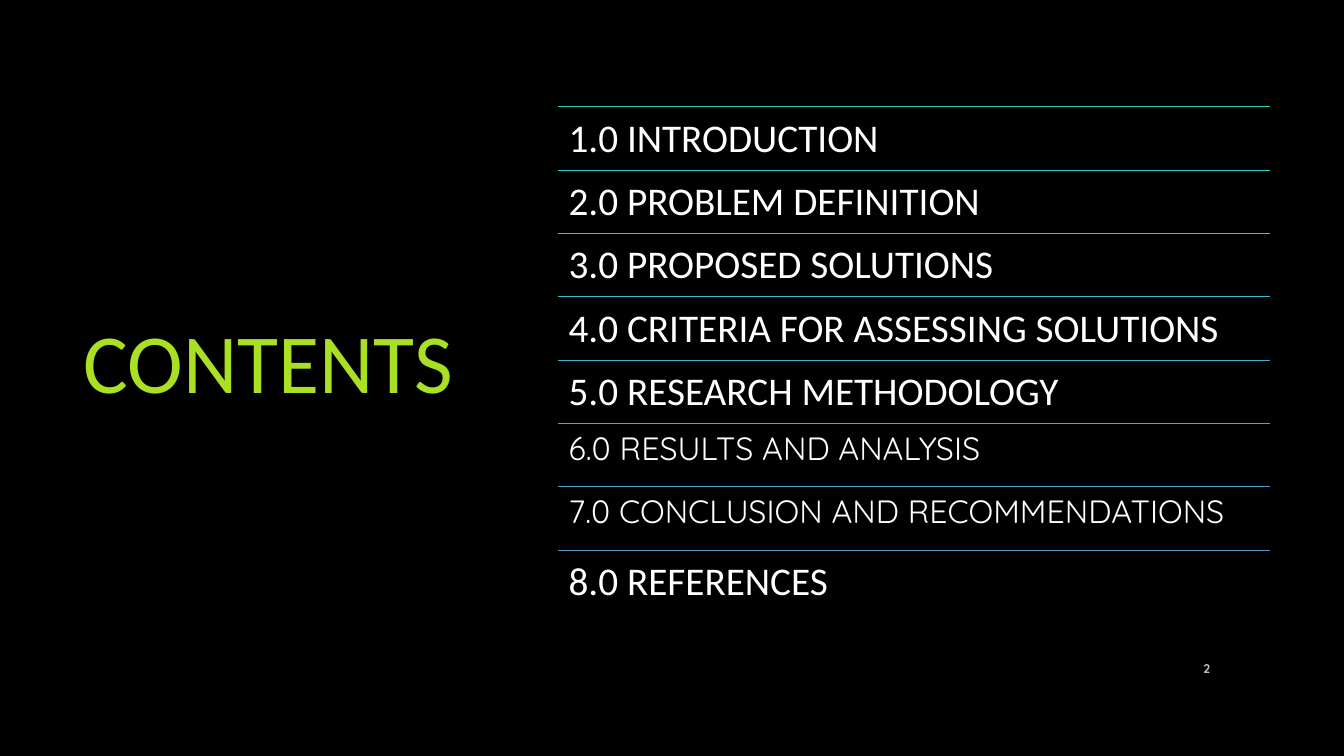
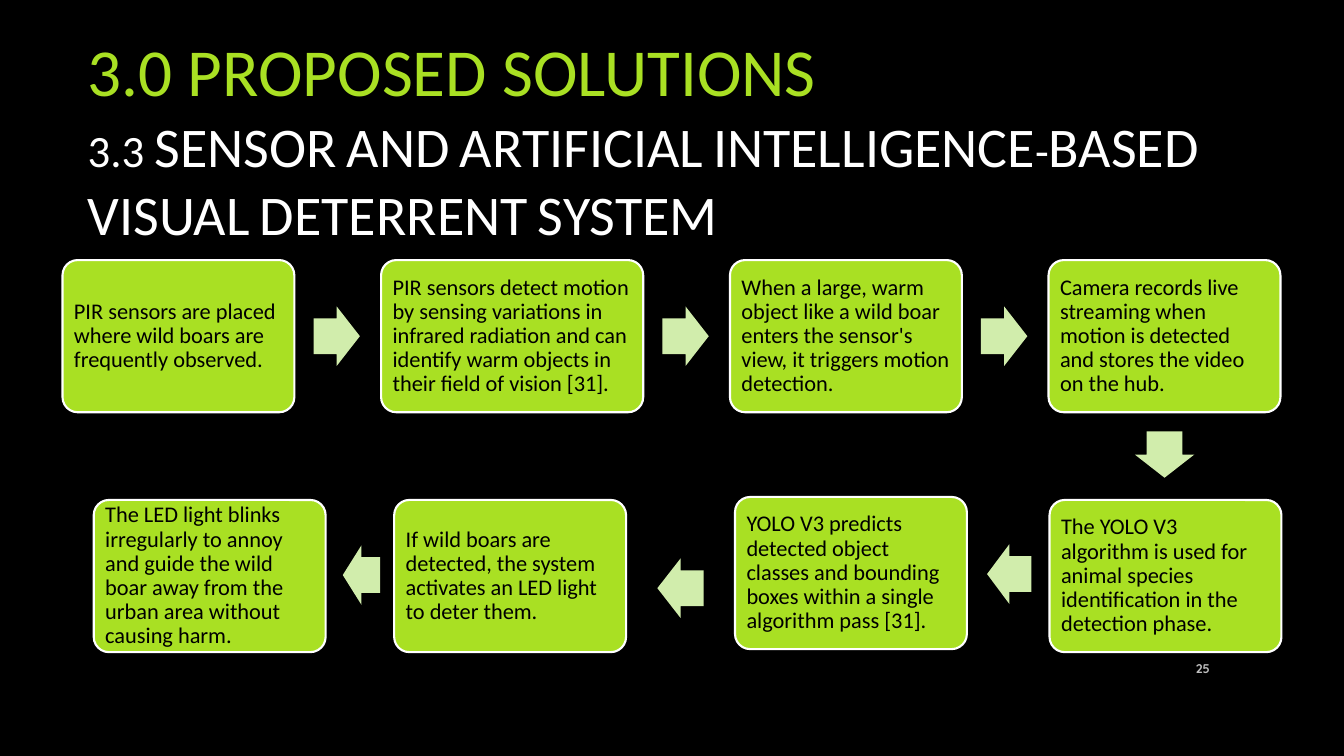
from lxml import etree
from pptx import Presentation, util as u
from pptx.dml.color import RGBColor
from pptx.enum import shapes, text
from pptx.oxml.ns import qn

COLOURS = {
    "background": "000000",
    "accent": "A9E023",
    "arrow": "D1EDAC",
    "light": "FFFFFF",
    "dark": "000000",
    "number": "BFBFBF",
}
MAIN_FONT, SECOND_FONT = "Calibri", "Quicksand"

CONTENTS = [
    ("1.0 INTRODUCTION", MAIN_FONT, "1FCDB6"),
    ("2.0 PROBLEM DEFINITION", MAIN_FONT, "24D0C8"),
    ("3.0 PROPOSED SOLUTIONS", MAIN_FONT, "2ACDD3"),
    ("4.0 CRITERIA FOR ASSESSING SOLUTIONS", MAIN_FONT, "34BFD2"),
    ("5.0 RESEARCH METHODOLOGY", MAIN_FONT, "3FB2CF"),
    ("6.0 RESULTS AND ANALYSIS", SECOND_FONT, "4AA7CD"),
    ("7.0 CONCLUSION AND RECOMMENDATIONS", SECOND_FONT, "559FCB"),
    ("8.0 REFERENCES", MAIN_FONT, "5F99C9"),
]
ENTRY_STYLES = {MAIN_FONT: (28, 45.25, 0), SECOND_FONT: (23, 38.3, 6.95)}

SUBTITLE = "3.3 SENSOR AND ARTIFICIAL INTELLIGENCE-BASED VISUAL DETERRENT SYSTEM"
STEP_WIDTH, STEP_HEIGHT = 2.3, 1.51
TOP_ROW, TOP_ROW_LEFT, TOP_ROW_GAP = 2.58, 0.62, 0.86
ARROW_LENGTH, ARROW_BREADTH, ARROW_OFFSET = 0.46, 0.59, 0.19
FORWARD_STEPS = [
    ("PIR sensors are placed where wild boars are frequently observed.", STEP_WIDTH),
    ("PIR sensors detect motion by sensing variations in infrared radiation and can "
     "identify warm objects in their field of vision [31].", 2.6),
    ("When a large, warm object like a wild boar enters the sensor's view, it triggers "
     "motion detection.", STEP_WIDTH),
    ("Camera records live streaming when motion is detected and stores the video on the hub.",
     STEP_WIDTH),
]
RETURN_STEPS = [
    ("The YOLO V3 algorithm is used for animal species identification in the detection phase.",
     10.41, 4.96),
    ("YOLO V3 predicts detected object classes and bounding boxes within a single "
     "algorithm pass [31].", 7.29, 4.93),
    ("If wild boars are detected, the system activates an LED light to deter them.", 3.91, 4.96),
    ("The LED light blinks irregularly to annoy and guide the wild boar away from the urban "
     "area without causing harm.", 0.93, 4.96),
]
RETURN_ARROWS = [(9.79, 5.4, 0.44), (6.52, 5.54, 0.46), (3.4, 5.41, 0.37)]


def colour(name):
    return RGBColor.from_string(COLOURS.get(name, name))


def place(shape, *box):
    shape.left, shape.top, shape.width, shape.height = map(u.Inches, box)


def format_runs(paragraph, size, colour_name, font=MAIN_FONT, bold=False):
    for run in paragraph.runs:
        run.font.size = u.Pt(size)
        run.font.name = font
        run.font.bold = bold
        run.font.color.rgb = colour(colour_name)


def remove_bullet(paragraph):
    properties = paragraph._p.get_or_add_pPr()
    properties.set("marL", "0")
    properties.set("indent", "0")
    etree.SubElement(properties, qn("a:buNone"))
    paragraph.space_before = u.Pt(0)


def prepare_frame(shape, anchor):
    frame = shape.text_frame
    frame.word_wrap = True
    frame.auto_size = text.MSO_AUTO_SIZE.NONE
    frame.vertical_anchor = anchor
    return frame


def add_slide(presentation, title, title_box, title_size, number):
    slide = presentation.slides.add_slide(presentation.slide_layouts[1])
    place(slide.shapes.title, *title_box)
    number_box = slide.shapes.add_textbox(0, 0, 0, 0)
    place(number_box, 11.5, 6.43, 0.6, 0.4)
    for shape, content, size, name, font, alignment in (
        (slide.shapes.title, title, title_size, "accent", MAIN_FONT, text.PP_ALIGN.LEFT),
        (number_box, number, 9, "number", SECOND_FONT, text.PP_ALIGN.RIGHT),
    ):
        frame = prepare_frame(shape, text.MSO_ANCHOR.MIDDLE)
        frame.text = content
        paragraph = frame.paragraphs[0]
        paragraph.alignment = alignment
        format_runs(paragraph, size, name, font, bold=shape is number_box)
    return slide


def add_rule(slide, left, right, top, colour_name):
    rule = slide.shapes.add_connector(
        shapes.MSO_CONNECTOR.STRAIGHT, *map(u.Inches, (left, top, right, top)))
    rule.line.color.rgb = colour(colour_name)
    rule.line.width = u.Pt(0.75)
    etree.SubElement(rule._element.spPr, qn("a:effectLst"))


def add_filled_shape(slide, kind, box, fill, adjustments):
    shape = slide.shapes.add_shape(kind, *map(u.Inches, box))
    shape.shadow.inherit = False
    shape.fill.solid()
    shape.fill.fore_color.rgb = colour(fill)
    shape.line.fill.background()
    for index, value in enumerate(adjustments):
        shape.adjustments[index] = value
    return shape


def add_arrow(slide, kind, *box):
    add_filled_shape(slide, kind, box, "arrow", (0.6, 0.5))


def add_step(slide, content, left, top, width=STEP_WIDTH):
    step = add_filled_shape(slide, shapes.MSO_SHAPE.ROUNDED_RECTANGLE,
                            (left, top, width, STEP_HEIGHT), "accent", (0.1,))
    step.line.color.rgb = colour("light")
    step.line.width = u.Pt(1.5)
    frame = prepare_frame(step, text.MSO_ANCHOR.MIDDLE)
    frame.margin_left = frame.margin_right = u.Inches(0.07)
    frame.margin_top = frame.margin_bottom = 0
    frame.text = content
    paragraph = frame.paragraphs[0]
    paragraph.alignment = text.PP_ALIGN.LEFT
    paragraph.line_spacing = 0.9
    format_runs(paragraph, 16, "dark")


def build_contents(presentation):
    slide = add_slide(presentation, "CONTENTS", (0.73, 1.56, 4.05, 4.02), 60, "2")
    left, right, first_rule, last_rule = 5.53, 12.6, 1.06, 5.46
    row_height = (last_rule - first_rule) / (len(CONTENTS) - 1)
    body = slide.placeholders[1]
    place(body, left, 0.96, right - left, row_height * len(CONTENTS))
    frame = prepare_frame(body, text.MSO_ANCHOR.TOP)
    frame.margin_left = frame.margin_right = u.Inches(0.11)
    frame.margin_top = frame.margin_bottom = 0
    frame.text = "\n".join(entry for entry, _, _ in CONTENTS)
    for row, (paragraph, (_, font, rule_colour)) in enumerate(zip(frame.paragraphs, CONTENTS)):
        size, spacing, after = ENTRY_STYLES[font]
        remove_bullet(paragraph)
        paragraph.line_spacing = u.Pt(spacing)
        paragraph.space_after = u.Pt(after)
        format_runs(paragraph, size, "light", font)
        add_rule(slide, left, right, first_rule + row * row_height, rule_colour)


def build_solution(presentation):
    slide = add_slide(presentation, "3.0 PROPOSED SOLUTIONS", (0.77, 0, 10.83, 1.39), 48, "25")
    body = slide.placeholders[1]
    place(body, 0.77, 1.06, 12.56, 1.55)
    frame = prepare_frame(body, text.MSO_ANCHOR.TOP)
    frame.text = SUBTITLE
    paragraph = frame.paragraphs[0]
    remove_bullet(paragraph)
    format_runs(paragraph, 40, "light")
    paragraph.runs[0]._r.get_or_add_rPr().set("cap", "small")

    left = TOP_ROW_LEFT
    arrow_top = TOP_ROW + (STEP_HEIGHT - ARROW_BREADTH) / 2
    for index, (content, width) in enumerate(FORWARD_STEPS):
        add_step(slide, content, left, TOP_ROW, width)
        if index < len(FORWARD_STEPS) - 1:
            add_arrow(slide, shapes.MSO_SHAPE.RIGHT_ARROW, left + width + ARROW_OFFSET,
                      arrow_top, ARROW_LENGTH, ARROW_BREADTH)
            left += width + TOP_ROW_GAP
    add_arrow(slide, shapes.MSO_SHAPE.DOWN_ARROW, left + (STEP_WIDTH - ARROW_BREADTH) / 2,
              TOP_ROW + STEP_HEIGHT + ARROW_OFFSET, ARROW_BREADTH, ARROW_LENGTH)
    for step in RETURN_STEPS:
        add_step(slide, *step)
    for arrow in RETURN_ARROWS:
        add_arrow(slide, shapes.MSO_SHAPE.LEFT_ARROW, *arrow, ARROW_BREADTH)


def main():
    presentation = Presentation()
    presentation.slide_width, presentation.slide_height = u.Inches(13.33), u.Inches(7.5)
    background = presentation.slide_master.background.fill
    background.solid()
    background.fore_color.rgb = colour("background")
    build_contents(presentation)
    build_solution(presentation)
    presentation.save("out.pptx")


if __name__ == "__main__":
    main()
